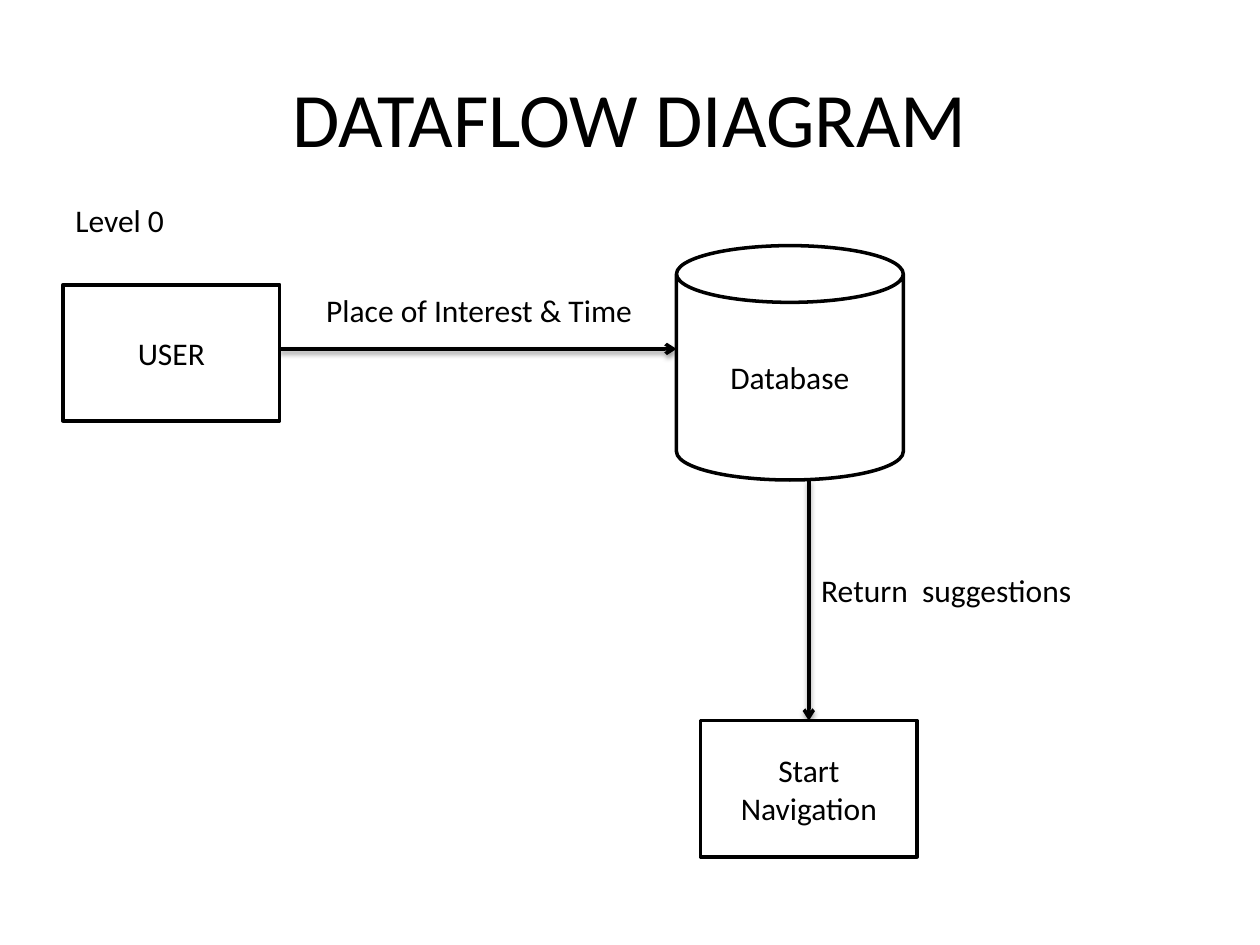
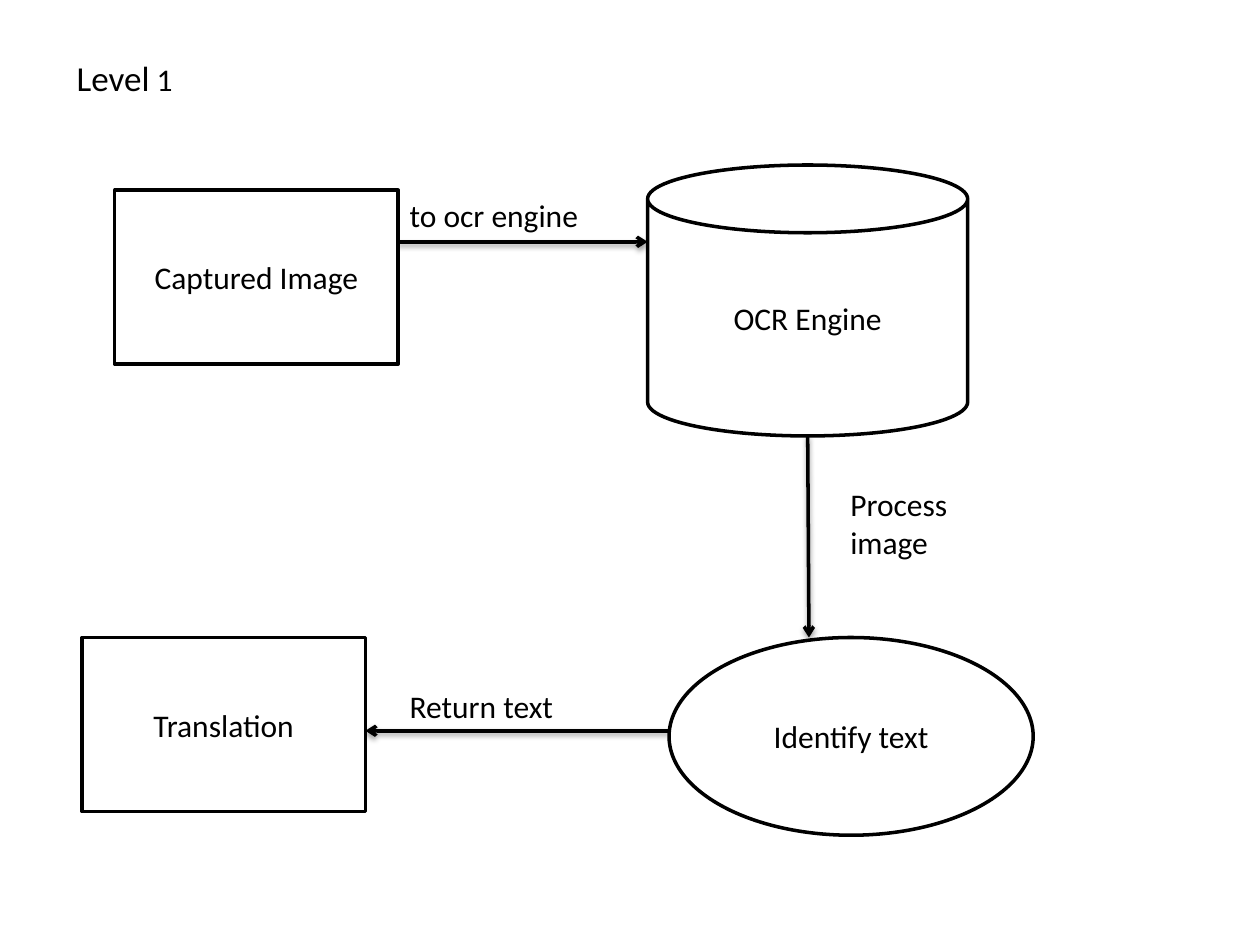
"""Build two slides of data flow diagrams."""
from dataclasses import dataclass

from lxml.etree import SubElement
from pptx import Presentation
from pptx.dml.color import RGBColor
from pptx.enum.shapes import MSO_CONNECTOR as Connector, MSO_SHAPE as Preset
from pptx.enum.text import MSO_ANCHOR as Anchor, MSO_AUTO_SIZE as AutoSize, PP_ALIGN as Align
from pptx.oxml import parse_xml
from pptx.oxml.ns import qn
from pptx.slide import Slide
from pptx.text.text import TextFrame
from pptx.util import Pt

COLORS = {"ink": "000000", "paper": "FFFFFF"}
FONT = "Calibri"
TITLE_SIZE, LEVEL_SIZE, BODY_SIZE = 44, 20, 18
LINE_WIDTH = 2
LABEL_HEIGHT = 28.8

ARROW_SHADOW = (
    '<a:effectLst xmlns:a="http://schemas.openxmlformats.org/drawingml/2006/main">'
    '<a:outerShdw blurRad="39370" dist="20320" dir="5400000" rotWithShape="0">'
    f'<a:srgbClr val="{COLORS["ink"]}"><a:alpha val="38000"/></a:srgbClr>'
    '</a:outerShdw></a:effectLst>'
)


@dataclass(frozen=True)
class Span:
    """A run of text in one size."""
    text: str
    size: float = BODY_SIZE


@dataclass(frozen=True)
class Node:
    """An outlined shape with centred text; lengths in points."""
    text: str
    left: float
    top: float
    width: float
    height: float
    preset: Preset = Preset.RECTANGLE

    @property
    def right(self) -> float:
        return self.left + self.width

    @property
    def bottom(self) -> float:
        return self.top + self.height


@dataclass(frozen=True)
class Label:
    """Free text beside a node or an arrow."""
    spans: tuple[Span, ...]
    left: float
    top: float
    width: float
    height: float = LABEL_HEIGHT


@dataclass(frozen=True)
class Arrow:
    """A straight flow; the head sits at the end point."""
    start: tuple[float, float]
    end: tuple[float, float]


def color(name: str) -> RGBColor:
    """Look up a colour by name."""
    return RGBColor.from_string(COLORS[name])


def write(frame: TextFrame, spans: tuple[Span, ...], align: Align) -> None:
    """Fill the first paragraph of a frame run by run."""
    para = frame.paragraphs[0]
    para.alignment = align
    for span in spans:
        run = para.add_run()
        run.text = span.text
        run.font.name = FONT
        run.font.size = Pt(span.size)
        run.font.color.rgb = color("ink")


def draw_title(slide: Slide, text: str) -> None:
    """Place and fill the title placeholder."""
    title = slide.shapes.title
    title.left, title.top, title.width, title.height = Pt(36), Pt(21.6), Pt(648), Pt(90)
    title.text_frame.vertical_anchor = Anchor.MIDDLE
    write(title.text_frame, (Span(text, TITLE_SIZE),), Align.CENTER)


def draw_node(slide: Slide, node: Node) -> None:
    """Draw one outlined node."""
    box = slide.shapes.add_shape(
        node.preset, Pt(node.left), Pt(node.top), Pt(node.width), Pt(node.height))
    box.shadow.inherit = False
    box.fill.solid()
    box.fill.fore_color.rgb = color("paper")
    box.line.color.rgb = color("ink")
    box.line.width = Pt(LINE_WIDTH)
    box.text_frame.word_wrap = True
    box.text_frame.vertical_anchor = Anchor.MIDDLE
    write(box.text_frame, (Span(node.text),), Align.CENTER)


def draw_label(slide: Slide, label: Label) -> None:
    """Draw one wrapped, left-aligned label."""
    box = slide.shapes.add_textbox(
        Pt(label.left), Pt(label.top), Pt(label.width), Pt(label.height))
    box.text_frame.word_wrap = True
    box.text_frame.auto_size = AutoSize.SHAPE_TO_FIT_TEXT
    write(box.text_frame, label.spans, Align.LEFT)


def draw_arrow(slide: Slide, arrow: Arrow) -> None:
    """Draw one connector with an open head and a soft shadow."""
    line = slide.shapes.add_connector(
        Connector.STRAIGHT, *(Pt(value) for value in arrow.start + arrow.end))
    line.line.color.rgb = color("ink")
    line.line.width = Pt(LINE_WIDTH)
    properties = line._element.spPr
    SubElement(properties.find(qn("a:ln")), qn("a:tailEnd"), type="arrow")
    properties.append(parse_xml(ARROW_SHADOW))


def draw_diagram(slide: Slide, arrows: list[Arrow], nodes: list[Node],
                 labels: list[Label]) -> None:
    """Draw a diagram: arrows behind, then nodes, then labels."""
    for arrow in arrows:
        draw_arrow(slide, arrow)
    for node in nodes:
        draw_node(slide, node)
    for label in labels:
        draw_label(slide, label)


def build_level_0(slide: Slide) -> None:
    """Show the flow from the user to navigation."""
    draw_title(slide, "DATAFLOW DIAGRAM")
    user = Node("USER", 36, 162.7, 123.8, 77.8)
    database = Node("Database", 386.6, 140.4, 129.6, 133.9, Preset.CAN)
    navigation = Node("Start Navigation", 400.3, 411.8, user.width, user.height)
    query_y = 199.4
    return_x = navigation.left + navigation.width / 2
    draw_diagram(
        slide,
        [Arrow((user.right, query_y), (database.left, query_y)),
         Arrow((return_x, database.bottom), (return_x, navigation.top))],
        [user, database, navigation],
        [Label((Span("Level 0"),), user.left, 111.6, 81.4),
         Label((Span("Place of Interest & Time"),), 179.3, user.top, 207.4),
         Label((Span("Return  suggestions"),), return_x, 322.6, 207.4)])


def build_level_1(slide: Slide) -> None:
    """Show the flow from a captured image to its translation."""
    captured = Node("Captured Image", 65.5, 108.7, 162, 99.4)
    engine = Node("OCR Engine", 370.1, 94.3, 182.9, 154.8, Preset.CAN)
    identify = Node("Identify text", 382.3, 364.3, 208.1, 113, Preset.OVAL)
    translation = Node("Translation", 46.8, identify.top, captured.width, captured.height)
    capture_y, return_y = 138.2, 417.6
    engine_x = engine.left + engine.width / 2
    draw_diagram(
        slide,
        [Arrow((captured.right, capture_y), (engine.left, capture_y)),
         Arrow((engine_x, engine.bottom), (engine_x + 0.7, identify.top)),
         Arrow((identify.left, return_y), (translation.right, return_y))],
        [captured, engine, identify, translation],
        [Label((Span("Level", LEVEL_SIZE), Span(" 1")), 36.7, 28.8, 169.2, 31.7),
         Label((Span("to ocr engine"),), 227, captured.top, 118.8),
         Label((Span("Process image"),), 478.8, 273.6, 111.6, 51.1),
         Label((Span("Return text"),), 227, return_y - LABEL_HEIGHT, 142.6)])


def main() -> None:
    """Build and save the deck."""
    deck = Presentation()
    deck.slide_width, deck.slide_height = Pt(720), Pt(540)
    title_only, blank = deck.slide_layouts[5], deck.slide_layouts[6]
    build_level_0(deck.slides.add_slide(title_only))
    build_level_1(deck.slides.add_slide(blank))
    deck.save("out.pptx")


main()
